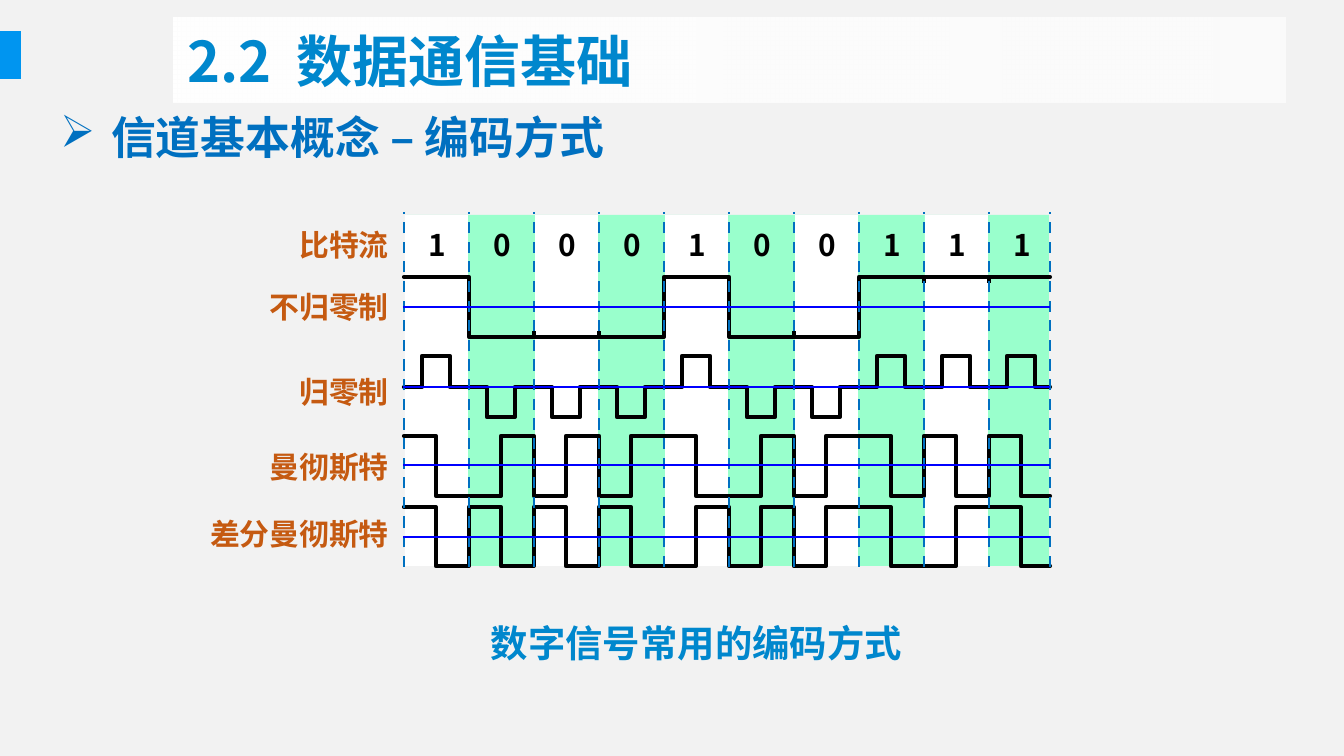
"""Build a slide comparing four line codes for one bit stream."""
from lxml.etree import SubElement
from pptx import Presentation
from pptx.dml.color import RGBColor
from pptx.enum.dml import MSO_LINE
from pptx.enum.shapes import MSO_CONNECTOR, MSO_SHAPE
from pptx.enum.text import MSO_ANCHOR, PP_ALIGN
from pptx.oxml.ns import qn
from pptx.util import Pt

PX = 914400 / 134.4
CJK = "Noto Sans CJK SC"
BITS = "1000100111"
EDGES = [404 + 65 * i for i in range(10)] + [1050]
TOP, BOTTOM = 215, 566


def rgb(value):
    return RGBColor.from_string(value)


def put(text, x, y, w, h, size, color, align=PP_ALIGN.LEFT, font=CJK, wrap=True, fill=None):
    box = [round(v * PX) for v in (x, y, w, h)]
    if fill:
        sp = s.shapes.add_shape(MSO_SHAPE.RECTANGLE, *box)
        sp.shadow.inherit = False
        sp.fill.solid()
        sp.fill.fore_color.rgb = rgb(fill)
        sp.line.fill.background()
    else:
        sp = s.shapes.add_textbox(*box)
    if text:
        tf = sp.text_frame
        tf.word_wrap = wrap
        p = tf.paragraphs[0]
        p.text = text
        p.alignment = align
        p.font.name, p.font.size, p.font.bold = font, Pt(size), True
        p.font.color.rgb = rgb(color)
        for r in p.runs:
            SubElement(r.font._element, qn("a:ea"), typeface=CJK)
    return sp


prs = Presentation()
prs.slide_width, prs.slide_height = round(1344 * PX), round(756 * PX)
s = prs.slides.add_slide(prs.slide_layouts[6])
s.background.fill.solid()
s.background.fill.fore_color.rgb = rgb("F2F2F2")

put("", 0, 31, 21, 48, 0, None, fill="0095F0")
put("", 407, TOP, 642, BOTTOM - TOP, 0, None, fill="99FFCC")
for x in EDGES[:-1:2]:
    put("", x + 1, TOP, 63, BOTTOM - TOP, 0, None, fill="FFFFFF")

labels = [("比特流", 220), ("不归零制", 282), ("归零制", 367), ("曼彻斯特", 442), ("差分曼彻斯特", 509)]
for name, y in labels:
    put(name, 182, y, 220, 50, 16, "C55A11", PP_ALIGN.RIGHT)
for bit, x in zip(BITS, EDGES):
    put(bit, x + 11, 220, 46, 50, 16, "000000", wrap=False)

nrz, manchester, differential, pulses, ticks = [], [], [], [], []
level = 0
for i, bit in enumerate(BITS):
    x, end = EDGES[i], EDGES[i + 1]
    mid = x + 32
    y = 277 if bit == "1" else 337
    nrz += [(x, y), (end, y)]
    if i and BITS[i - 1] == bit:
        ticks.append((x, y, x, 283 if bit == "1" else 331))

    first, second = (436, 496) if bit == "1" else (496, 436)
    manchester += [(x, first), (mid, first), (mid, second), (end, second)]

    level = level if bit == "1" else 1 - level
    first, second = (566, 507) if level else (507, 566)
    differential += [(x, first), (mid, first), (mid, second), (end, second)]
    level = 1 - level

    peak = 356 if bit == "1" else 417
    left, right = max(x - 3, EDGES[0]), min(x + 67, EDGES[-1])
    pulses.append([(left, 387), (x + 18, 387), (x + 18, peak),
                   (x + 46, peak), (x + 46, 387), (right, 387)])

for wave in [nrz, manchester, differential] + pulses:
    builder = s.shapes.build_freeform(*wave[0], scale=PX)
    builder.add_line_segments(wave[1:], close=False)
    sp = builder.convert_to_shape()
    sp.shadow.inherit = False
    sp.fill.background()
    sp.line.color.rgb = rgb("000000")
    sp.line.width = Pt(2.25)
    ln = sp.line._get_or_add_ln()
    ln.set("cap", "rnd")
    SubElement(ln, qn("a:round"))

lines = [(tick, "000000", 2.25, None) for tick in ticks]
lines += [((x, 567, x, 212), "0070C0", 1.5, MSO_LINE.DASH) for x in EDGES]
lines += [((403, y, 1050, y), "0000FF", 1.5, None) for y in (307, 387, 465, 537)]
for ends, color, width, dash in lines:
    sp = s.shapes.add_connector(MSO_CONNECTOR.STRAIGHT, *[round(v * PX) for v in ends])
    sp.line.color.rgb = rgb(color)
    sp.line.width = Pt(width)
    if dash:
        sp.line.dash_style = dash
    SubElement(sp._element.spPr, qn("a:effectLst"))

put("数字信号常用的编码方式", 435, 614, 523, 59, 20, "0087CD", PP_ALIGN.CENTER)

sp = put("信道基本概念 – 编码方式", 47, 103, 1238, 67, 24, "0070C0", font="Calibri")
pPr = sp.text_frame.paragraphs[0]._p.get_or_add_pPr()
pPr.set("marL", str(round(51 * PX)))
pPr.set("indent", str(round(-51 * PX)))
bullet = pPr.makeelement(qn("a:buChar"), {"char": "➢"})
pPr.insert(0, bullet)

sp = put("2.2  数据通信基础", 174, 18, 1112, 85, 30, "0087CD", fill="FFFFFF")
sp.text_frame.vertical_anchor = MSO_ANCHOR.MIDDLE
sp.fill.gradient()
sp.fill.gradient_angle = 0
for stop, position in zip(sp.fill.gradient_stops, (0, 1)):
    stop.color.rgb = rgb("FFFFFF")
    stop.position = position
alpha_parent = sp._element.spPr.findall(".//" + qn("a:srgbClr"))[-1]
SubElement(alpha_parent, qn("a:alpha"), val="67000")

prs.save("out.pptx")
